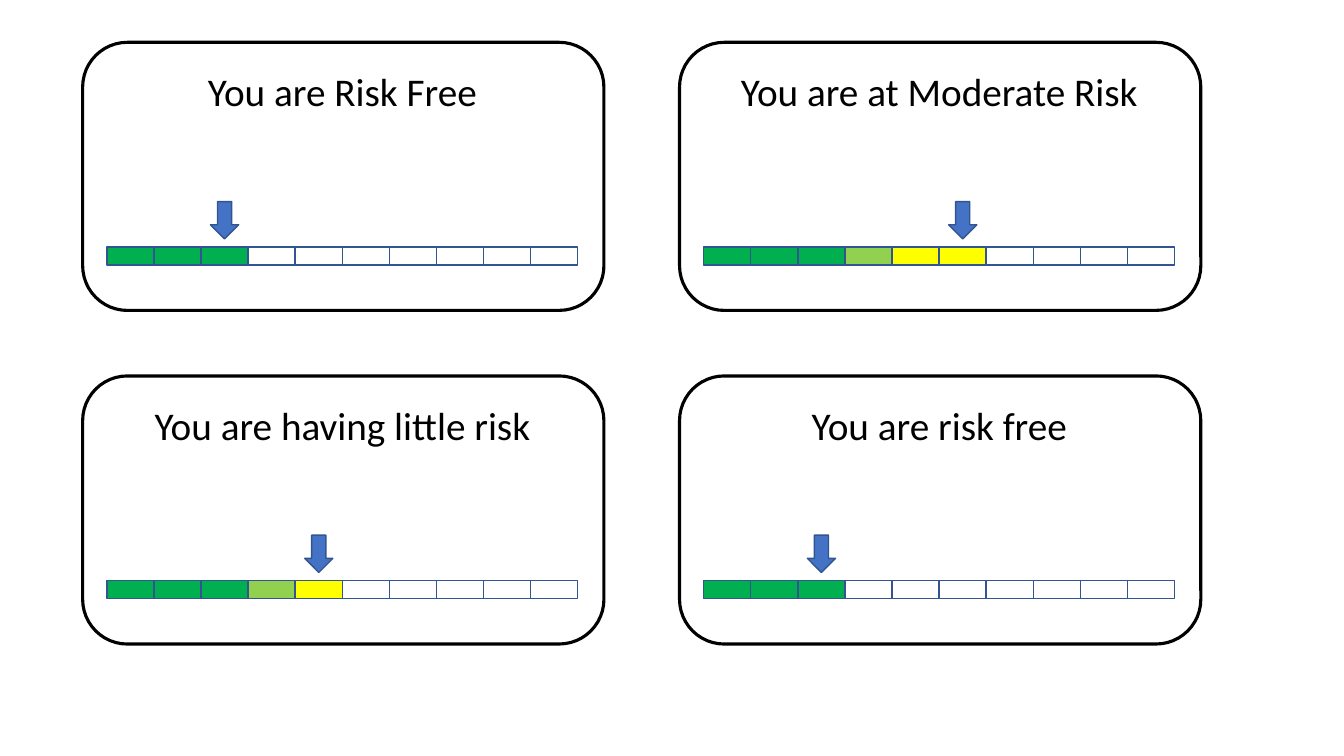
from pptx import Presentation
from pptx.dml.color import RGBColor
from pptx.enum.shapes import MSO_SHAPE
from pptx.enum.text import MSO_AUTO_SIZE, PP_ALIGN
from pptx.util import Pt

ROUNDED = MSO_SHAPE.ROUNDED_RECTANGLE
RECT = MSO_SHAPE.RECTANGLE
DOWN_ARROW = MSO_SHAPE.DOWN_ARROW
CENTER = PP_ALIGN.CENTER
FIT_SHAPE = MSO_AUTO_SIZE.SHAPE_TO_FIT_TEXT

PX = 9144  # EMU per px, 100 px to the inch
COLORS = {
    "black": "000000",
    "white": "FFFFFF",
    "green": "00B050",
    "lime": "92D050",
    "yellow": "FFFF00",
    "blue": "4472C4",
    "outline": "325491",
}

CARD_X, CARD_Y, CARD_W, CARD_H = 82, 42, 517, 266
COL_STEP, ROW_STEP = 592, 331
BAR_DX, BAR_DY, BAR_W, BAR_H = 24, 203, 467, 18
CELLS = 10
CELL_W = BAR_W / CELLS
ARROW_DY, ARROW_W, ARROW_H = 158, 28, 37
TITLE_DX, TITLE_DY, TITLE_W, TITLE_H = 45, 20, 425, 57

SCALE = ["green", "green", "green", "lime", "yellow", "yellow"]
# title, column, row, risk level (number of filled cells)
CARDS = [
    ("You are Risk Free", 0, 0, 3),
    ("You are at Moderate Risk", 1, 0, 6),
    ("You are having little risk", 0, 1, 5),
    ("You are risk free", 1, 1, 3),
]


def emu(*lengths):
    return [round(n * PX) for n in lengths]


def add_box(kind, x, y, w, h, fill, line, width):
    """Add a preset shape; a fill of None leaves it hollow."""
    sp = s.shapes.add_shape(kind, *emu(x, y, w, h))
    sp.shadow.inherit = False
    if fill:
        sp.fill.solid()
        sp.fill.fore_color.rgb = RGBColor.from_string(COLORS[fill])
    else:
        sp.fill.background()
    sp.line.color.rgb = RGBColor.from_string(COLORS[line])
    sp.line.width = Pt(width)


prs = Presentation()
prs.slide_width, prs.slide_height = emu(1333, 750)
s = prs.slides.add_slide(prs.slide_layouts[6])

for title, col, row, level in CARDS:
    x = CARD_X + col * COL_STEP
    y = CARD_Y + row * ROW_STEP
    add_box(ROUNDED, x, y, CARD_W, CARD_H, "white", "black", 2.25)

    bar_x = x + BAR_DX
    for i in range(CELLS):
        fill = SCALE[i] if i < level else None
        add_box(RECT, bar_x + i * CELL_W, y + BAR_DY, CELL_W, BAR_H,
                fill, "outline", 1)

    # The arrow is centred over the last filled cell
    arrow_x = bar_x + (level - 0.5) * CELL_W - ARROW_W / 2
    add_box(DOWN_ARROW, arrow_x, y + ARROW_DY, ARROW_W, ARROW_H,
            "blue", "outline", 1)

    tb = s.shapes.add_textbox(
        *emu(x + TITLE_DX, y + TITLE_DY, TITLE_W, TITLE_H))
    tf = tb.text_frame
    tf.word_wrap = True
    tf.auto_size = FIT_SHAPE
    p = tf.paragraphs[0]
    p.text = title
    p.alignment = CENTER
    r = p.runs[0]
    r.font.name = "Calibri"
    r.font.size = Pt(28)
    r.font.color.rgb = RGBColor.from_string(COLORS["black"])

prs.save("out.pptx")
